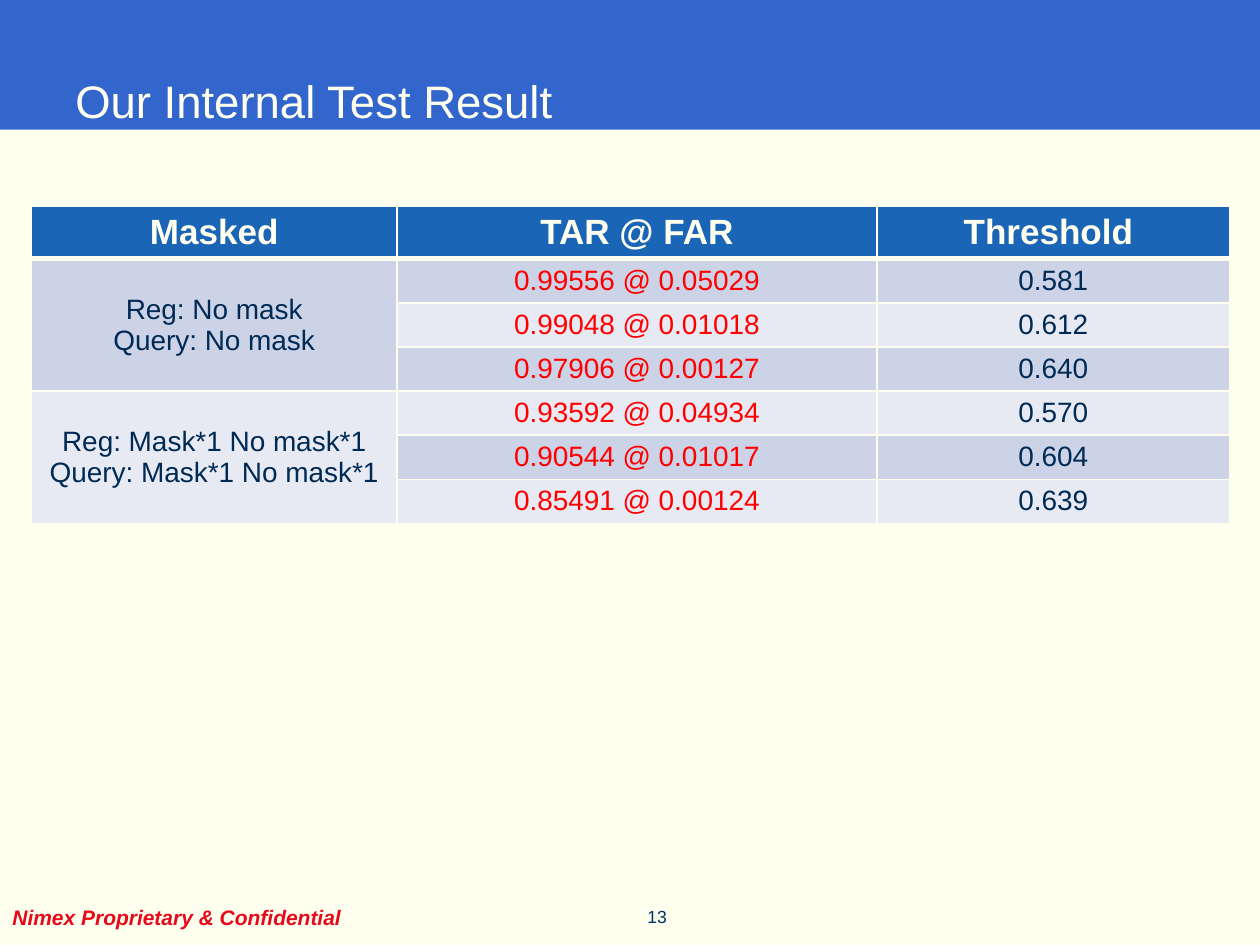
from lxml import etree
from pptx import Presentation
from pptx.dml.color import RGBColor
from pptx.enum import shapes, text
from pptx.oxml import ns
from pptx.util import Inches, Pt

IVORY = RGBColor(0xFF, 0xFF, 0xF0)
BLUE = RGBColor(0x33, 0x66, 0xCC)
HEAD = RGBColor(0x1B, 0x65, 0xB7)
DARK = RGBColor(0xCD, 0xD3, 0xE6)
LIGHT = RGBColor(0xE8, 0xEA, 0xF3)
NAVY = RGBColor(0x00, 0x2A, 0x56)
SLATE = RGBColor(0x00, 0x33, 0x66)
RED = RGBColor(0xFF, 0x00, 0x00)
CRIMSON = RGBColor(0xE5, 0x09, 0x19)

HEADS = ["Masked", "TAR @ FAR", "Threshold "]
GROUPS = [
    ("Reg: No mask\nQuery: No mask",
     [("0.99556 @ 0.05029", "0.581"),
      ("0.99048 @ 0.01018", "0.612"),
      ("0.97906 @ 0.00127", "0.640")]),
    ("Reg: Mask*1 No mask*1\nQuery: Mask*1 No mask*1",
     [("0.93592 @ 0.04934", "0.570"),
      ("0.90544 @ 0.01017", "0.604"),
      ("0.85491 @ 0.00124", "0.639")]),
]
WIDTHS = [2.9, 3.81, 2.8]


class Deck:
    font = "Arial"

    def __init__(self, slide):
        self.slide = slide
        fill = slide.background.fill
        fill.solid()
        fill.fore_color.rgb = IVORY

    def style(self, frame, words, size, color, bold=False, italic=False,
              align=text.PP_ALIGN.LEFT):
        """Fill a text frame with words in one style."""
        frame.text = words
        for para in frame.paragraphs:
            para.alignment = align
            font = para.font
            font.name, font.size = self.font, Pt(size)
            font.bold, font.italic = bold, italic
            font.color.rgb = color

    def band(self, left, top, width, height, color):
        box = self.slide.shapes.add_shape(
            shapes.MSO_SHAPE.RECTANGLE, Inches(left), Inches(top),
            Inches(width), Inches(height))
        box.shadow.inherit = False
        box.fill.solid()
        box.fill.fore_color.rgb = color
        box.line.fill.background()

    def label(self, words, left, top, width, height, size, color, wrap=True,
              anchor=text.MSO_ANCHOR.TOP, **style):
        box = self.slide.shapes.add_textbox(
            Inches(left), Inches(top), Inches(width), Inches(height))
        frame = box.text_frame
        frame.word_wrap = wrap
        frame.vertical_anchor = anchor
        self.style(frame, words, size, color, **style)

    def edge(self, cell, bottom):
        """Draw the four cell borders; bottom is the lower width in points."""
        props = cell._tc.get_or_add_tcPr()
        for spot, side in enumerate("LRTB"):
            width = bottom if side == "B" else 1
            line = etree.Element(ns.qn(f"a:ln{side}"), w=str(Pt(width)))
            fill = etree.SubElement(line, ns.qn("a:solidFill"))
            etree.SubElement(fill, ns.qn("a:srgbClr"), val=str(IVORY))
            props.insert(spot, line)

    def cell(self, cell, words, size, color, fill, bold=False, bottom=1):
        cell.margin_top = cell.margin_bottom = Inches(0.04)
        cell.vertical_anchor = text.MSO_ANCHOR.MIDDLE
        cell.fill.solid()
        cell.fill.fore_color.rgb = fill
        self.edge(cell, bottom)
        self.style(cell.text_frame, words, size, color, bold,
                   align=text.PP_ALIGN.CENTER)

    def table(self, left, top, head, step):
        count = 1 + sum(len(rows) for _, rows in GROUPS)
        grid = self.slide.shapes.add_table(
            count, len(HEADS), Inches(left), Inches(top),
            Inches(sum(WIDTHS)), Inches(head + step * (count - 1))).table
        for col, width in zip(grid.columns, WIDTHS):
            col.width = Inches(width)
        for num, row in enumerate(grid.rows):
            row.height = Inches(step if num else head)
        for col, words in enumerate(HEADS):
            self.cell(grid.cell(0, col), words, 20, IVORY, HEAD, True, 3)
        num = 1
        for name, rows in GROUPS:
            first = num
            shade = DARK if first % 2 else LIGHT
            for rate, limit in rows:
                fill = DARK if num % 2 else LIGHT
                mask = name if num == first else ""
                self.cell(grid.cell(num, 0), mask, 16, NAVY, shade)
                self.cell(grid.cell(num, 1), rate, 16, RED, fill)
                self.cell(grid.cell(num, 2), limit, 16, NAVY, fill)
                num += 1
            grid.cell(first, 0).merge(grid.cell(num - 1, 0))


def main():
    show = Presentation()
    show.slide_width, show.slide_height = Inches(10), Inches(7.5)
    deck = Deck(show.slides.add_slide(show.slide_layouts[6]))
    deck.band(0, 0, 10, 1.03, BLUE)
    deck.label("Nimex Proprietary & Confidential", 0, 7.13, 2.81, 0.3, 12,
               CRIMSON, wrap=False, bold=True, italic=True)
    deck.label("Our Internal Test Result", 0.5, 0.17, 9, 1.25, 26, IVORY,
               anchor=text.MSO_ANCHOR.MIDDLE)
    deck.label("13", 3.31, 7.14, 2.08, 0.46, 10, SLATE,
               align=text.PP_ALIGN.RIGHT)
    deck.table(0.25, 1.64, 0.41, 0.35)
    show.save("out.pptx")


if __name__ == "__main__":
    main()
